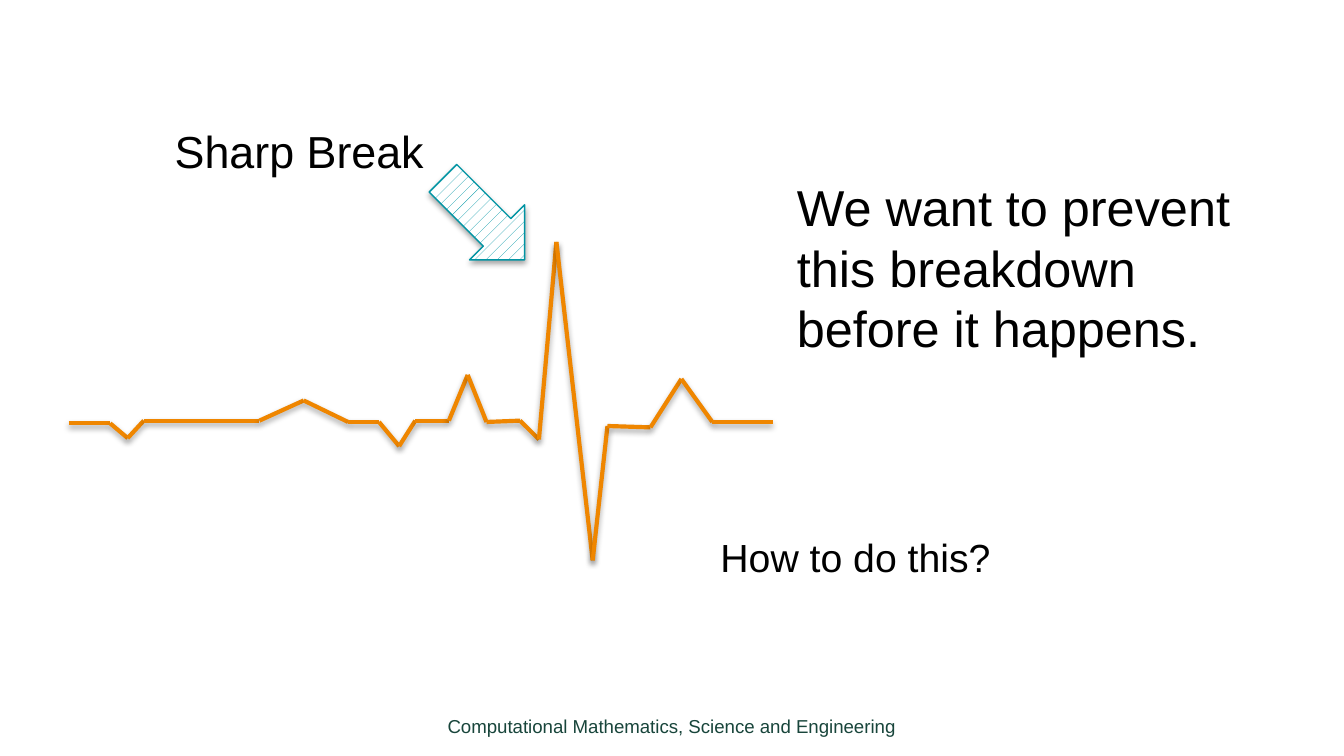
import dataclasses
import itertools

import pptx
import pptx.dml.color
import pptx.enum.dml
import pptx.enum.shapes
import pptx.enum.text
import pptx.oxml
import pptx.oxml.ns
import pptx.util

Inches = pptx.util.Inches
Pt = pptx.util.Pt


@dataclasses.dataclass(frozen=True)
class Theme:
    font: str = "Arial"
    paper: str = "FFFFFF"
    ink: str = "000000"
    footer: str = "18453B"
    pulse: str = "EF8600"
    arrow_hatch: str = "0097A7"
    arrow_edge: str = "0094A3"
    message_size: float = 27
    label_size: float = 24
    question_size: float = 21
    footer_size: float = 10


THEME = Theme()

PULSE_POINTS = [
    (0, 0.01), (0.31, 0.01), (0.44, 0.12), (0.56, -0.01), (1.42, -0.01),
    (1.75, -0.16), (2.08, 0), (2.31, 0), (2.46, 0.18), (2.58, -0.01),
    (2.83, -0.01), (2.97, -0.35), (3.11, 0), (3.36, -0.01), (3.5, 0.13),
    (3.63, -1.34), (3.9, 1.03), (4.01, 0.03), (4.33, 0.04), (4.56, -0.32),
    (4.79, 0), (5.24, 0),
]

SHADOW = (
    f'<a:effectLst {pptx.oxml.ns.nsdecls("a")}>'
    '<a:outerShdw blurRad="40000" dist="23000" dir="5400000" rotWithShape="0">'
    f'<a:srgbClr val="{THEME.ink}"><a:alpha val="35000"/></a:srgbClr>'
    '</a:outerShdw></a:effectLst>'
)


def color(code):
    return pptx.dml.color.RGBColor.from_string(code)


def outline_with_shadow(shape, code, width):
    shape.line.color.rgb = color(code)
    shape.line.width = Pt(width)
    shape._element.spPr.append(pptx.oxml.parse_xml(SHADOW))


def add_text(page, box, text, size, code=THEME.ink, margins=(0.07, 0.04),
             align=pptx.enum.text.PP_ALIGN.LEFT,
             anchor=pptx.enum.text.MSO_ANCHOR.TOP):
    frame = page.shapes.add_textbox(*map(Inches, box)).text_frame
    frame.word_wrap = True
    frame.vertical_anchor = anchor
    frame.margin_left = frame.margin_right = Inches(margins[0])
    frame.margin_top = frame.margin_bottom = Inches(margins[1])
    frame.text = text
    para = frame.paragraphs[0]
    para.alignment = align
    for span in para.runs:
        span.font.name = THEME.font
        span.font.size = Pt(size)
        span.font.color.rgb = color(code)


def add_pulse(page, left, baseline):
    corners = [(Inches(left + x), Inches(baseline + y)) for x, y in PULSE_POINTS]
    for start, end in itertools.pairwise(corners):
        segment = page.shapes.add_connector(
            pptx.enum.shapes.MSO_CONNECTOR.STRAIGHT, *start, *end)
        outline_with_shadow(segment, THEME.pulse, 2.25)


def add_break_callout(page, left, top):
    arrow = page.shapes.add_shape(
        pptx.enum.shapes.MSO_SHAPE.DOWN_ARROW,
        Inches(left + 2.08), Inches(top + 0.32), Inches(0.58), Inches(0.86))
    arrow.rotation = 315
    arrow.fill.patterned()
    arrow.fill.pattern = pptx.enum.dml.MSO_PATTERN.PERCENT_20
    arrow.fill.fore_color.rgb = color(THEME.arrow_hatch)
    arrow.fill.back_color.rgb = color(THEME.paper)
    outline_with_shadow(arrow, THEME.arrow_edge, 0.75)
    add_text(page, (left, top, 2.25, 0.48), "Sharp Break", THEME.label_size)


def add_footer(page, box):
    add_text(page, box, "Computational Mathematics, Science and Engineering",
             THEME.footer_size, THEME.footer, margins=(0.1, 0.1),
             align=pptx.enum.text.PP_ALIGN.CENTER,
             anchor=pptx.enum.text.MSO_ANCHOR.MIDDLE)


def main():
    deck = pptx.Presentation()
    deck.slide_width = Inches(10)
    deck.slide_height = deck.slide_width * 9 // 16
    page = deck.slides.add_slide(deck.slide_layouts.get_by_name("Blank"))
    page.background.fill.solid()
    page.background.fill.fore_color.rgb = color(THEME.paper)

    add_footer(page, (3.22, 5.21, 3.55, 0.38))
    add_pulse(page, 0.51, 3.14)
    add_break_callout(page, 1.23, 0.88)
    add_text(page, (5.86, 1.27, 3.53, 1.89),
             "We want to prevent this breakdown before it happens.",
             THEME.message_size)
    add_text(page, (5.29, 3.93, 2.25, 0.43), "How to do this?",
             THEME.question_size)
    deck.save("out.pptx")


if __name__ == "__main__":
    main()
